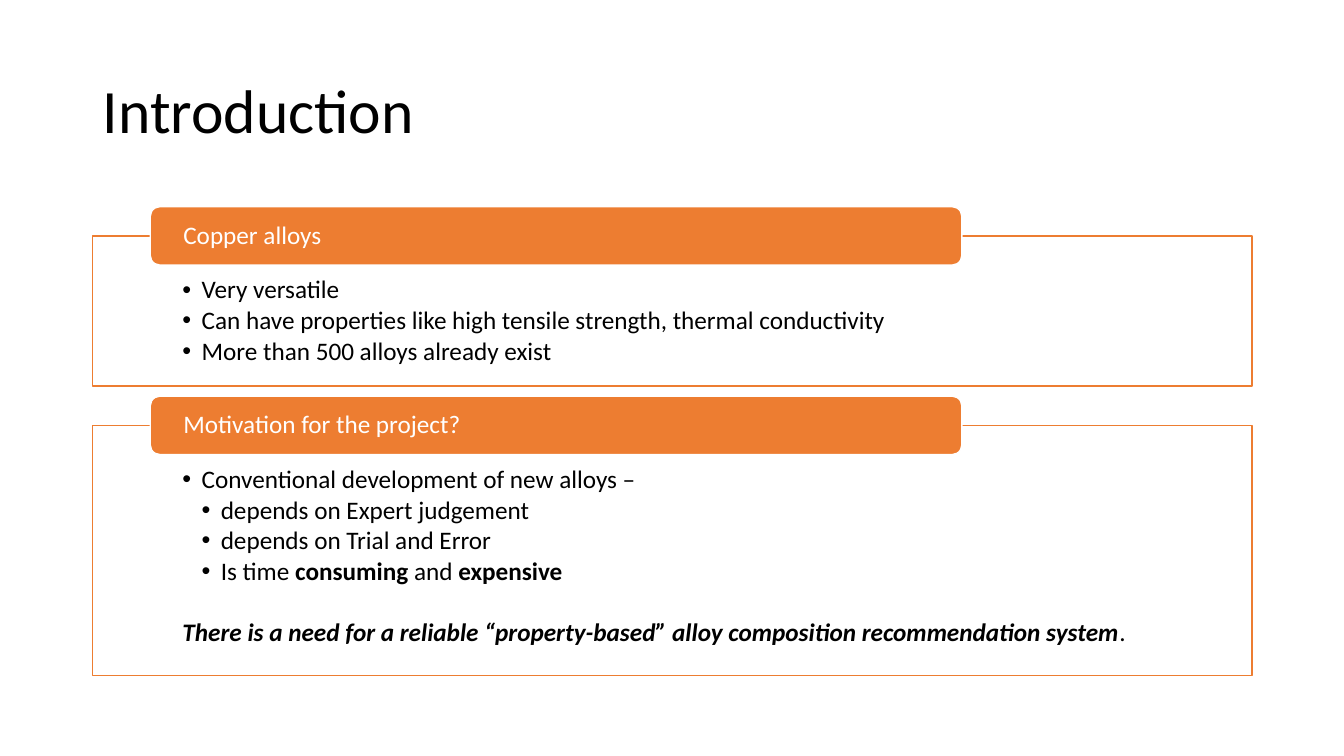
from lxml.etree import SubElement
from pptx import Presentation
from pptx.dml.color import RGBColor
from pptx.enum.shapes import MSO_SHAPE
from pptx.enum.text import MSO_ANCHOR, MSO_AUTO_SIZE, PP_ALIGN
from pptx.oxml.ns import qn
from pptx.util import Inches, Pt

# Style values
BLACK, WHITE, ORANGE = "000000", "FFFFFF", "ED7D31"
PLAIN = {}
BOLD = {"bold": True}
BOLD_ITALIC = {"bold": True, "italic": True}
LEFT, WIDTH = 0.92, 11.5
HEADER_HEIGHT, HEADER_RISE = 0.58, 0.29
BULLET_STEP = 0.19

# Sections: heading, top, height, lines of (level, spans, space before)
SECTIONS = [
    ("Copper alloys", 2.34, 1.49, [
        (1, [("Very versatile", PLAIN)], 0),
        (1, [("Can have properties like high tensile strength, thermal conductivity", PLAIN)], 0),
        (1, [("More than 500 alloys already exist", PLAIN)], 0),
    ]),
    ("Motivation for the project?", 4.22, 2.48, [
        (1, [("Conventional development of new alloys –", PLAIN)], 0),
        (2, [("depends on Expert judgement", PLAIN)], 0),
        (2, [("depends on Trial and Error", PLAIN)], 0),
        (2, [("Is time ", PLAIN), ("consuming ", BOLD), ("and", PLAIN), (" expensive", BOLD)], 0),
        (0, [("There is a need for a reliable “property-based” alloy composition "
              "recommendation system", BOLD_ITALIC), (".", PLAIN)], 22),
    ]),
]


def color(code):
    return RGBColor.from_string(code)


def assign(target, values):
    for name, value in values.items():
        setattr(target, name, value)


class SlideBuilder:
    def __init__(self, deck, font="Calibri"):
        self.font = font
        self.page = deck.slides.add_slide(deck.slide_layouts[5])

    def fill_para(self, para, spans, size, code, **spacing):
        assign(para, {"alignment": PP_ALIGN.LEFT, "line_spacing": 0.9, **spacing})
        for text, style in spans:
            span = para.add_run()
            span.text = text
            assign(span.font, {"name": self.font, "size": Pt(size), **style})
            span.font.color.rgb = color(code)

    def frame(self, box, anchor, side, top, bottom):
        frame = box.text_frame
        assign(frame, {
            "word_wrap": True, "auto_size": MSO_AUTO_SIZE.NONE, "vertical_anchor": anchor,
            "margin_left": Inches(side), "margin_right": Inches(side),
            "margin_top": Inches(top), "margin_bottom": Inches(bottom),
        })
        return frame

    def title(self, text):
        box = self.page.shapes.title
        assign(box, {"left": Inches(LEFT), "top": Inches(0.4),
                     "width": Inches(WIDTH), "height": Inches(1.45)})
        frame = self.frame(box, MSO_ANCHOR.MIDDLE, 0.1, 0.05, 0.05)
        self.fill_para(frame.paragraphs[0], [(text, PLAIN)], 44, BLACK)

    def box(self, kind, left, top, width, height, fill, line):
        box = self.page.shapes.add_shape(
            kind, Inches(left), Inches(top), Inches(width), Inches(height))
        box.shadow.inherit = False
        box.fill.solid()
        box.fill.fore_color.rgb = color(fill)
        box.line.color.rgb = color(line)
        box.line.width = Pt(1)
        return box

    def bullet(self, para, level):
        properties = para._p.get_or_add_pPr()
        properties.set("marL", str(Inches(BULLET_STEP * level)))
        properties.set("indent", str(-Inches(BULLET_STEP)))
        SubElement(properties, qn("a:buFont"), typeface="Arial")
        SubElement(properties, qn("a:buChar"), char="•")

    def panel(self, top, height, lines):
        box = self.box(MSO_SHAPE.RECTANGLE, LEFT, top, WIDTH, height, WHITE, ORANGE)
        fill_color = box._element.spPr.find(qn("a:solidFill"))[0]
        SubElement(fill_color, qn("a:alpha"), val="90000")
        frame = self.frame(box, MSO_ANCHOR.TOP, 0.89, 0.41, 0.14)
        for index, (level, spans, before) in enumerate(lines):
            para = frame.add_paragraph() if index else frame.paragraphs[0]
            self.fill_para(para, spans, 18, BLACK,
                           space_before=Pt(before), space_after=Pt(2.4))
            if level:
                self.bullet(para, level)

    def header(self, text, top):
        box = self.box(MSO_SHAPE.ROUNDED_RECTANGLE, 1.49, top, 8.05, HEADER_HEIGHT,
                       ORANGE, WHITE)
        frame = self.frame(box, MSO_ANCHOR.MIDDLE, 0.3, 0, 0)
        self.fill_para(frame.paragraphs[0], [(text, PLAIN)], 18, WHITE)


def main():
    deck = Presentation()
    deck.slide_width, deck.slide_height = Inches(13.33), Inches(7.5)
    builder = SlideBuilder(deck)

    # Title
    builder.title("Introduction")

    # Panels, each with a heading bar across its top edge
    for heading, top, height, lines in SECTIONS:
        builder.panel(top, height, lines)
        builder.header(heading, top - HEADER_RISE)

    deck.save("out.pptx")


if __name__ == "__main__":
    main()
